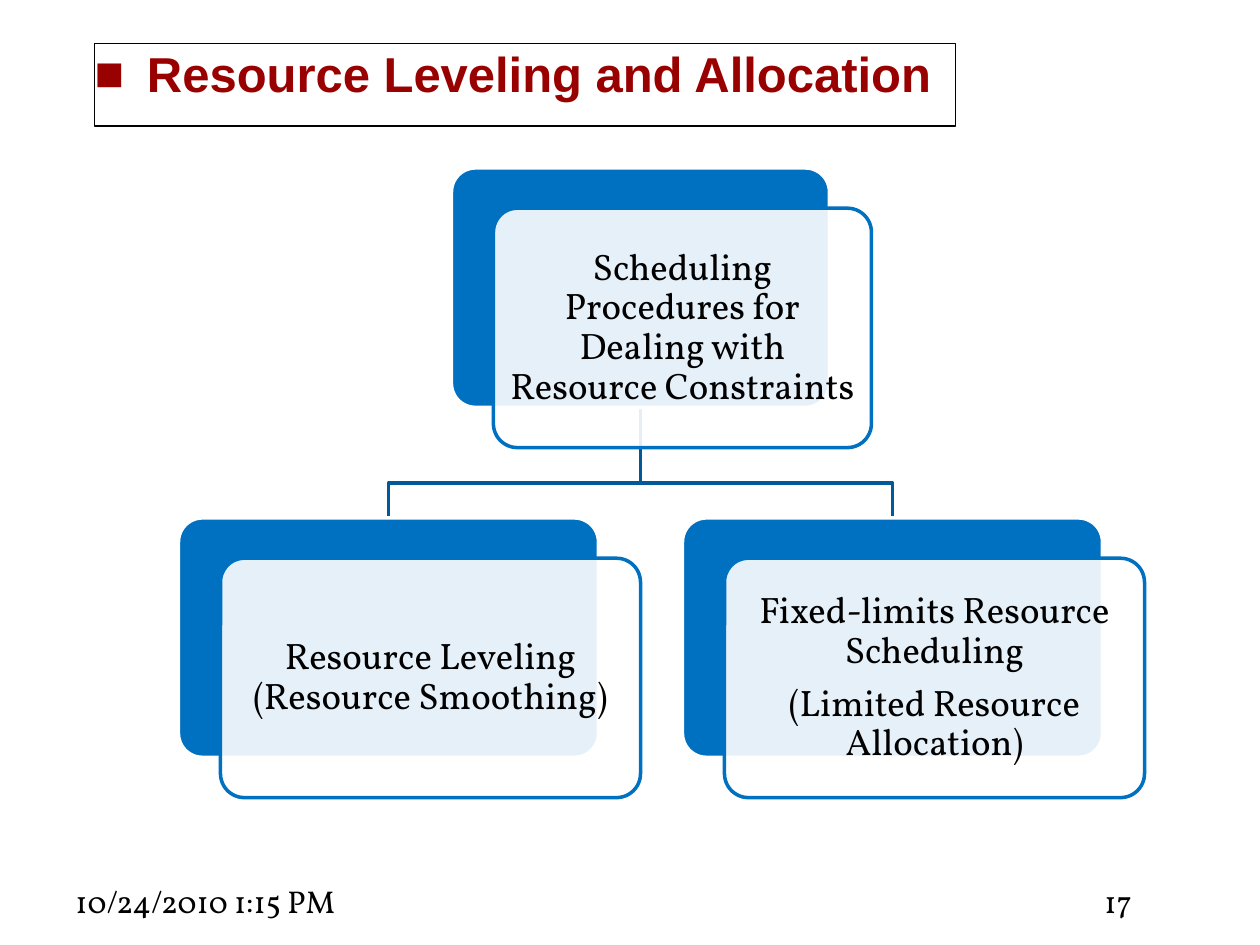
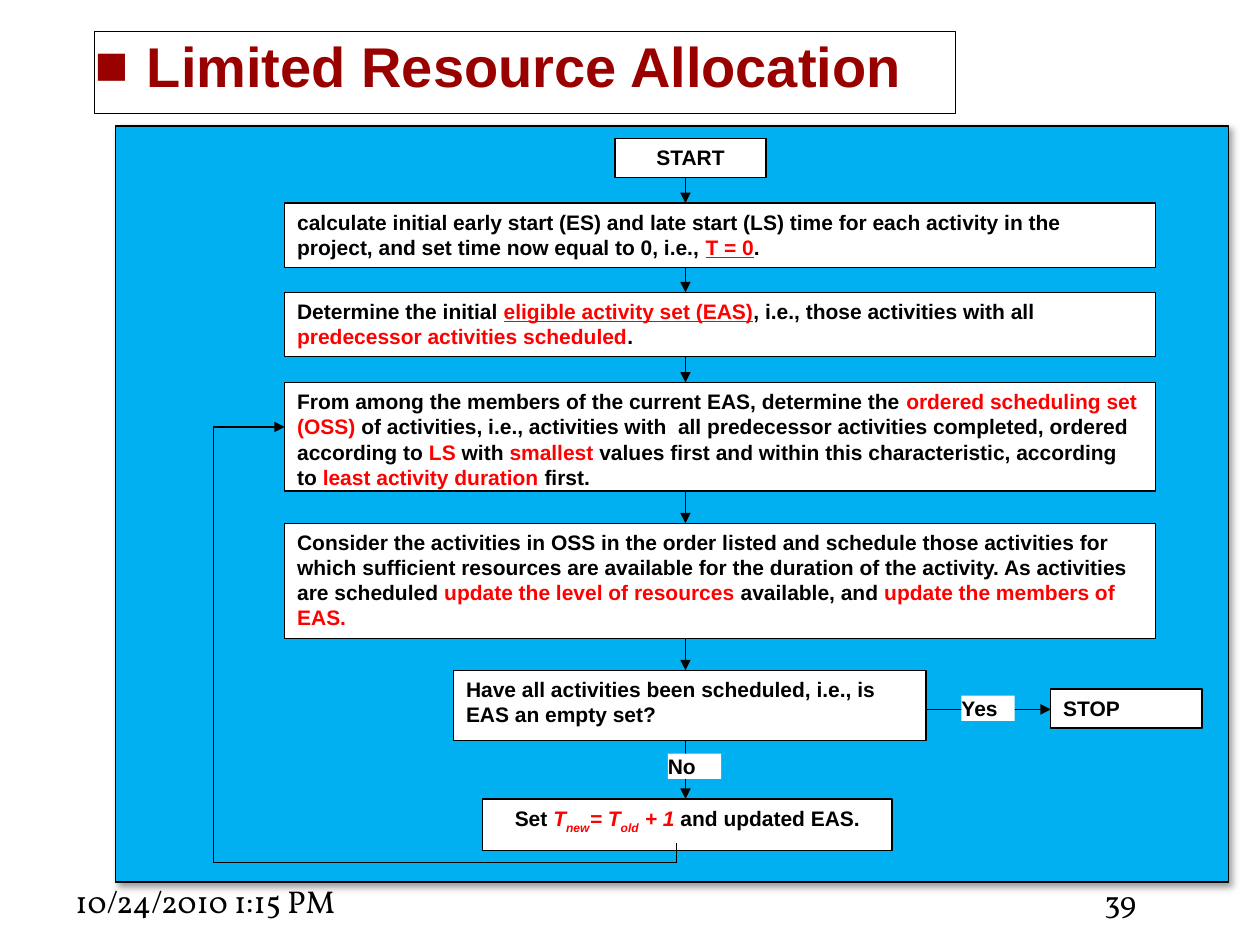
from dataclasses import dataclass
from itertools import pairwise

from lxml import etree
from pptx import Presentation
from pptx.dml.color import RGBColor
from pptx.enum import shapes, text
from pptx.oxml import ns
from pptx.util import Pt


@dataclass(frozen=True)
class Theme:
    black: str = "000000"
    white: str = "FFFFFF"
    title: str = "990000"
    card: str = "0070C0"
    branch: str = "005A9A"
    panel: str = "00B0F0"
    accent: str = "FF0000"
    sans: str = "Arial"
    serif: str = "Vollkorn"
    footer_size: float = 18
    card_size: float = 21
    flow_size: float = 12
    thin: float = 0.75
    thick: float = 2


T = Theme()
RECT = shapes.MSO_SHAPE.RECTANGLE
ROUND = shapes.MSO_SHAPE.ROUNDED_RECTANGLE
LEFT, CENTER = text.PP_ALIGN.LEFT, text.PP_ALIGN.CENTER


def rgb(color):
    return RGBColor.from_string(color)


def sub(parent, tag, **attrs):
    el = etree.SubElement(parent, ns.qn(tag))
    for name, value in attrs.items():
        el.set(name, str(value))
    return el


def set_line(line, color, width):
    if color is None:
        line.fill.background()
    else:
        line.color.rgb = rgb(color)
        line.width = Pt(width)


def set_font(font, name, size, color, bold=False):
    font.name, font.size, font.bold = name, Pt(size), bold
    font.color.rgb = rgb(color)


def set_frame(tf, inset_x, inset_y, anchor=text.MSO_ANCHOR.TOP):
    tf.word_wrap = True
    tf.auto_size = text.MSO_AUTO_SIZE.NONE
    tf.vertical_anchor = anchor
    tf.margin_left = tf.margin_right = Pt(inset_x)
    tf.margin_top = tf.margin_bottom = Pt(inset_y)


def add_box(slide, kind, box, fill, line=None, width=T.thin):
    sp = slide.shapes.add_shape(kind, *map(Pt, box))
    sp.shadow.inherit = False
    sp.fill.solid()
    sp.fill.fore_color.rgb = rgb(fill)
    set_line(sp.line, line, width)
    return sp


def add_title(slide, words, top, size):
    sp = slide.shapes.title
    sp.left, sp.top, sp.width, sp.height = map(Pt, (54, top, 492, 47))
    sp.fill.solid()
    sp.fill.fore_color.rgb = rgb(T.white)
    set_line(sp.line, T.black, T.thin)
    set_frame(sp.text_frame, 0, 0)
    sp.text_frame.text = words
    p = sp.text_frame.paragraphs[0]
    p.alignment, p.space_before = LEFT, Pt(3)
    set_font(p.runs[0].font, T.sans, size, T.title, True)
    pPr = p._p.get_or_add_pPr()
    pPr.set("marL", str(Pt(30)))
    pPr.set("indent", str(-Pt(30)))
    sub(sub(pPr, "a:buClr"), "a:srgbClr", val=T.title)
    sub(pPr, "a:buFont", typeface=T.sans)
    sub(pPr, "a:buChar", char="■")


def add_footer(slide, number):
    for words, left, width in (("10/24/2010 1:15 PM", 36, 168), (number, 624, 60)):
        sp = slide.shapes.add_textbox(Pt(left), Pt(500.4), Pt(width), Pt(28.8))
        set_frame(sp.text_frame, 7.2, 3.6)
        sp.text_frame.text = words
        set_font(sp.text_frame.paragraphs[0].runs[0].font, T.serif, T.footer_size, T.black)


def new_slide(prs, title, top, size, number):
    slide = prs.slides.add_slide(prs.slide_layouts[5])
    add_title(slide, title, top, size)
    add_footer(slide, number)
    return slide


def add_card(slide, center, top, width, words):
    left, height = center - width / 2, 136.8
    back = add_box(slide, ROUND, (left, top, width, height), T.card, T.white, T.thick)
    front = add_box(slide, ROUND, (left + 24, top + 23, width, height), T.white, T.card, T.thick)
    for sp in (back, front):
        sp.adjustments[0] = 0.1
    sub(front.fill._xPr.find(".//" + ns.qn("a:srgbClr")), "a:alpha", val=90000)
    tf = front.text_frame
    set_frame(tf, 2.5, 2.5, text.MSO_ANCHOR.MIDDLE)
    tf.text = words
    for p in tf.paragraphs:
        p.alignment, p.line_spacing, p.space_after = CENTER, 0.9, Pt(7.35)
        set_font(p.runs[0].font, T.serif, T.card_size, T.black)


def add_branch(slide, points):
    start, *rest = [(Pt(x), Pt(y)) for x, y in points]
    fb = slide.shapes.build_freeform(*start)
    fb.add_line_segments(rest, close=False)
    sp = fb.convert_to_shape()
    sp.shadow.inherit = False
    sp.fill.background()
    set_line(sp.line, T.branch, T.thick)


def add_step(slide, box, parts, align=LEFT, insets=(7.2, 3.6), line=T.black):
    """Marks: r accent colour, u underline, i italic, s subscript."""
    sp = add_box(slide, RECT, box, T.white, line)
    set_frame(sp.text_frame, *insets)
    p = sp.text_frame.paragraphs[0]
    p.alignment = align
    for words, marks in parts:
        r = p.add_run()
        r.text = words
        set_font(r.font, T.sans, T.flow_size, T.accent if "r" in marks else T.black, True)
        r.font.underline = "u" in marks
        r.font.italic = "i" in marks
        if "s" in marks:
            r._r.get_or_add_rPr().set("baseline", "-30000")


def add_line(slide, start, end, arrow=True):
    cx = slide.shapes.add_connector(shapes.MSO_CONNECTOR.STRAIGHT, *map(Pt, (*start, *end)))
    set_line(cx.line, T.black, T.thin)
    if arrow:
        sub(cx.line._get_or_add_ln(), "a:tailEnd", type="triangle")
    sub(cx._element.spPr, "a:effectLst")


def add_panel(slide):
    sp = add_box(slide, RECT, (66, 72, 636, 432), T.panel, T.black)
    effects = sp._element.spPr.find(ns.qn("a:effectLst"))
    shadow = sub(effects, "a:outerShdw", blurRad=Pt(4), dist=Pt(3), dir=45 * 60000,
                 algn="tl", rotWithShape=0)
    sub(sub(shadow, "a:srgbClr", val=T.black), "a:alpha", val=40000)


def build_procedures(prs):
    slide = new_slide(prs, "Resource Leveling and Allocation", 25, 28, "17")
    root, reach, child_top = 366, 144, 296
    for x in (root + reach, root - reach):
        add_branch(slide, [(root, 233), (root, 276), (x, 276), (x, child_top)])
    add_card(slide, root, 96, 216,
             "Scheduling Procedures for Dealing with Resource Constraints")
    add_card(slide, root - reach, child_top, 240, "Resource Leveling (Resource Smoothing)")
    add_card(slide, root + reach, child_top, 240,
             "Fixed-limits Resource Scheduling\n(Limited Resource Allocation)")


def build_flowchart(prs):
    slide = new_slide(prs, "Limited Resource Allocation", 18, 32, "39")
    add_panel(slide)
    axis, wide_left, wide = 391.7, 162.7, 497.5
    steps = [
        ((351.4, 79.2, 86.4, 22.3), [("START", "")], CENTER, (7.2, 3.6)),
        ((wide_left, 116, wide, 36.7), [
            ("calculate initial early start (ES) and late start (LS) time for each activity "
             "in the project, and set time now equal to 0, i.e., ", ""),
            ("T = 0", "ru"), (".", "")], LEFT, (7.2, 3.6)),
        ((wide_left, 167, wide, 36.7), [
            ("Determine the initial ", ""), ("eligible activity set (EAS)", "ru"),
            (", i.e., those activities with all ", ""),
            ("predecessor activities scheduled", "r"), (".", "")], LEFT, (7.2, 3.6)),
        ((wide_left, 218.6, wide, 62), [
            ("From among the members of the current EAS, determine the ", ""),
            ("ordered scheduling set (OSS)", "r"),
            (" of activities, i.e., activities with  all predecessor activities completed, "
             "ordered according to ", ""),
            ("LS", "r"), (" with ", ""), ("smallest", "r"),
            (" values first and within this characteristic, according to ", ""),
            ("least activity duration ", "r"), ("first.", "")], LEFT, (7.2, 3.6)),
        ((wide_left, 299, wide, 66), [
            ("Consider the activities in OSS in the order listed and schedule those "
             "activities for which sufficient resources are available for the duration of "
             "the activity. As activities are scheduled ", ""),
            ("update the level of resources ", "r"), ("available, and ", ""),
            ("update the members of EAS.", "r")], LEFT, (7.2, 3.6)),
        ((259.2, 383, 270, 40.3), [
            ("Have all activities been scheduled, i.e., is EAS an empty set?", "")],
         LEFT, (7.2, 3.6)),
        ((275.8, 456.5, 234, 29.5), [
            ("Set ", ""), ("T", "ri"), ("new", "ris"), ("= T", "ri"), ("old", "ris"),
            (" + 1 ", "ri"), ("and updated EAS.", "")], CENTER, (3.6, 3.6)),
    ]
    for step in steps:
        add_step(slide, *step)
    add_step(slide, (600.5, 393.8, 86.4, 22.3), [("STOP", "")])

    for (upper, *_), (lower, *_) in pairwise(steps):
        add_line(slide, (axis, upper[1] + upper[3]), (axis, lower[1]))
    add_line(slide, (529.2, 405.4), (600.5, 405.4))
    for words, left, top in (("Yes", 549.4, 397.6), ("No", 381.6, 430.7)):
        add_step(slide, (left, top, 30.5, 14.4), [(words, "")], insets=(0, 0), line=None)

    loop = [(386.6, 481.7), (386.6, 493), (122, 493), (122, 244), (wide_left, 244)]
    for start, end in pairwise(loop):
        add_line(slide, start, end, arrow=end == loop[-1])


def main():
    prs = Presentation()
    prs.slide_width, prs.slide_height = Pt(720), Pt(540)
    build_procedures(prs)
    build_flowchart(prs)
    prs.save("out.pptx")


if __name__ == "__main__":
    main()
